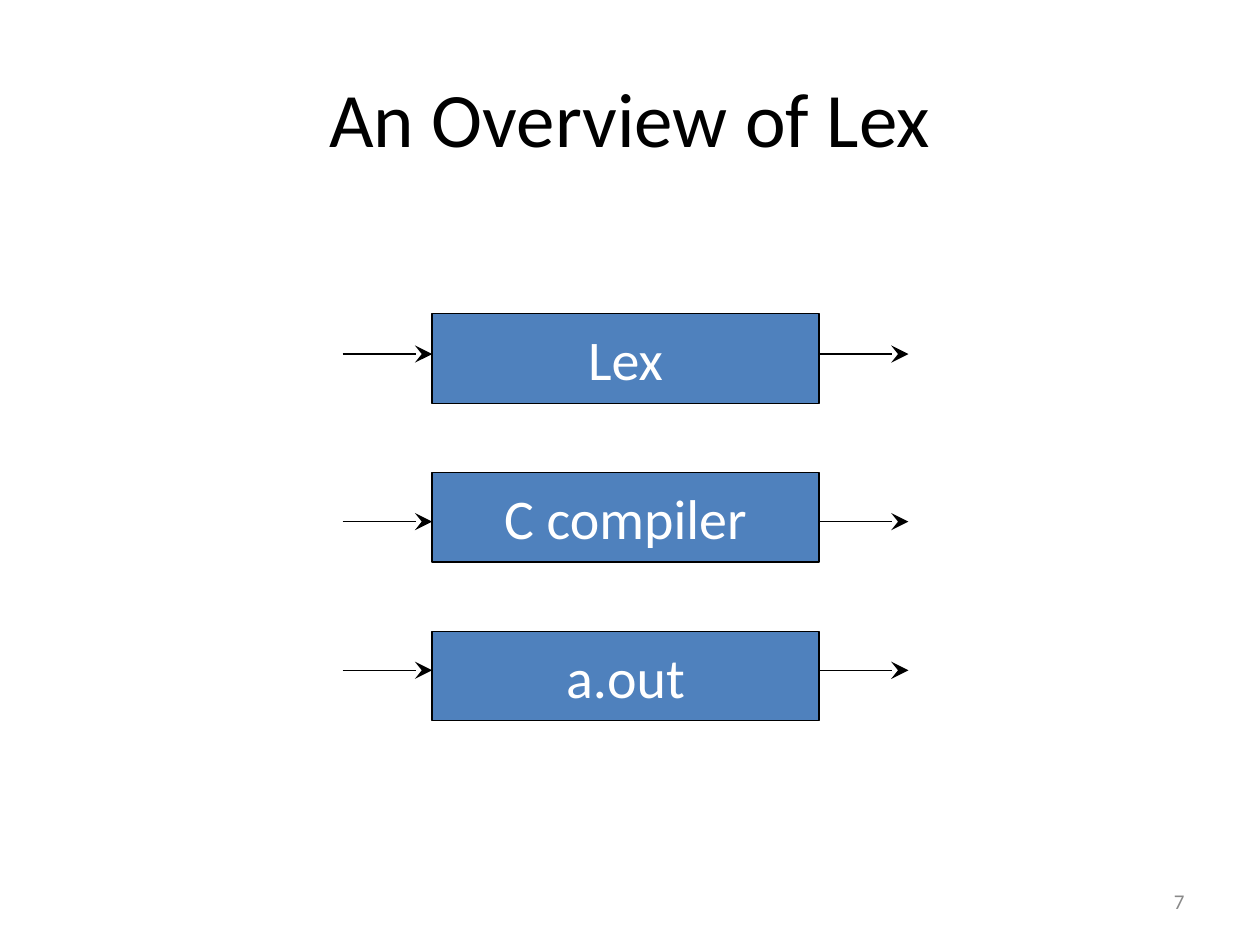
from lxml import etree
from pptx import Presentation
from pptx import util as u
from pptx.dml.color import RGBColor
from pptx.enum import shapes, text
from pptx.oxml.ns import qn

WIDTH, HEIGHT = 10, 7.5
FONT = "Calibri"
BLACK, WHITE, BLUE, GREY = "000000", "FFFFFF", "4F81BD", "898989"
ROW_PITCH = 1.26
ARROW_LENGTH = 0.71
STAGES = [("Lex", 0.32), ("C compiler", 0.39), ("a.out", 0.31)]


def color(value):
    return RGBColor.from_string(value)


def inches(*lengths):
    return [u.Inches(length) for length in lengths]


def write(shape, wording, size, ink, alignment, wrap=True):
    frame = shape.text_frame
    frame.text = wording
    frame.word_wrap = wrap
    frame.vertical_anchor = text.MSO_ANCHOR.MIDDLE
    paragraph = frame.paragraphs[0]
    paragraph.alignment = alignment
    font = paragraph.runs[0].font
    font.name = FONT
    font.size = u.Pt(size)
    font.color.rgb = color(ink)


def add_label(slide, box, wording, size, ink, alignment):
    label = slide.shapes.add_textbox(*inches(*box))
    write(label, wording, size, ink, alignment)


def add_arrow(slide, left, top, length):
    arrow = slide.shapes.add_connector(
        shapes.MSO_CONNECTOR.STRAIGHT, *inches(left, top, left + length, top)
    )
    arrow.line.color.rgb = color(BLACK)
    arrow.line.width = u.Pt(0.75)
    etree.SubElement(
        arrow.line._get_or_add_ln(), qn("a:tailEnd"), type="stealth", w="lg", len="lg"
    )
    etree.SubElement(arrow._element.spPr, qn("a:effectLst"))


def add_stage(slide, box, wording, arrow_offset):
    left, top, width, height = box
    stage = slide.shapes.add_shape(shapes.MSO_SHAPE.RECTANGLE, *inches(*box))
    stage.shadow.inherit = False
    stage.fill.solid()
    stage.fill.fore_color.rgb = color(BLUE)
    stage.line.color.rgb = color(BLACK)
    stage.line.width = u.Pt(0.75)
    write(stage, wording, 32, WHITE, text.PP_ALIGN.CENTER, wrap=False)
    for start in (left - ARROW_LENGTH, left + width):
        add_arrow(slide, start, top + arrow_offset, ARROW_LENGTH)


def add_pipeline(slide, left, top, width, height):
    for row, (wording, arrow_offset) in enumerate(STAGES):
        box = (left, top + row * ROW_PITCH, width, height)
        add_stage(slide, box, wording, arrow_offset)


def main():
    presentation = Presentation()
    presentation.slide_width, presentation.slide_height = inches(WIDTH, HEIGHT)
    slide = presentation.slides.add_slide(presentation.slide_layouts[6])
    title_box = (0.05 * WIDTH, 0.04 * HEIGHT, 0.9 * WIDTH, HEIGHT / 6)
    add_label(slide, title_box, "An Overview of Lex", 44, BLACK, text.PP_ALIGN.CENTER)
    add_pipeline(slide, 3.43, 2.49, 3.07, 0.71)
    add_label(slide, (7.17, 6.95, 2.33, 0.4), "7", 12, GREY, text.PP_ALIGN.RIGHT)
    presentation.save("out.pptx")


if __name__ == "__main__":
    main()
